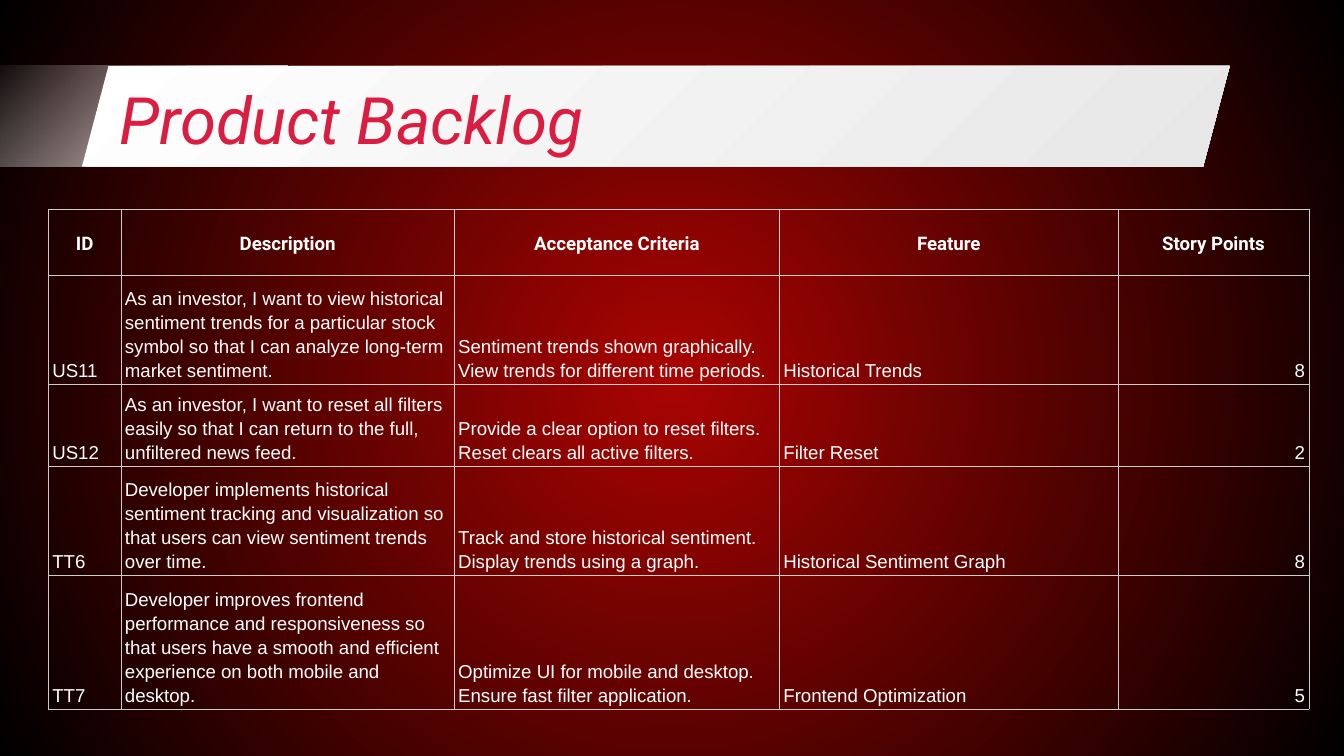
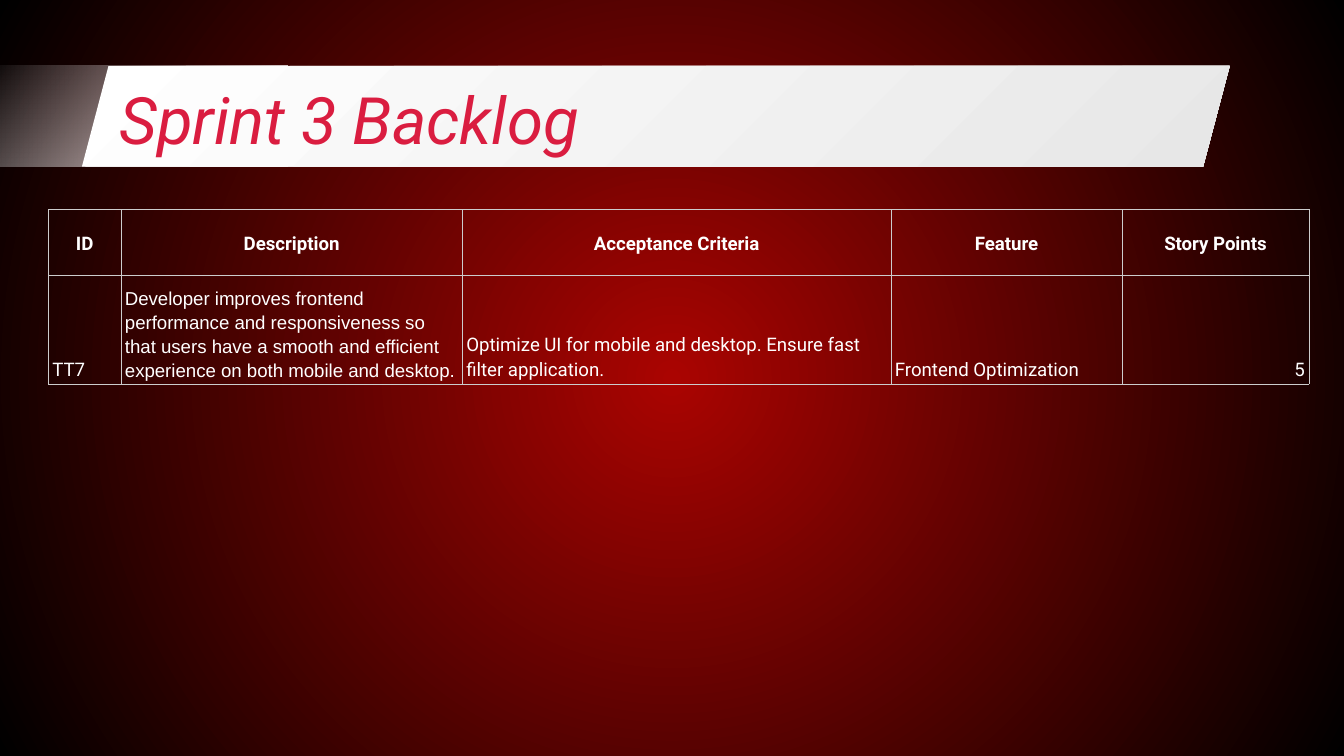
import pptx
import pptx.dml.color
import pptx.enum.shapes
import pptx.enum.text
import pptx.oxml
import pptx.oxml.ns
import pptx.util
from lxml import etree

Inches = pptx.util.Inches
Pt = pptx.util.Pt
qn = pptx.oxml.ns.qn
ALIGN = pptx.enum.text.PP_ALIGN
ANCHOR = pptx.enum.text.MSO_ANCHOR
SHAPE = pptx.enum.shapes.MSO_SHAPE

GLOW, BLACK, WHITE, SILVER = "AA0401", "000000", "FFFFFF", "E7E7E7"
CRIMSON, RULE = "DA1D40", "CCCCCC"
HEADERS = ["ID", "Description", "Acceptance Criteria", "Feature", "Story Points"]
HEADER_HEIGHT, ROW_HEIGHT = 0.49, 0.59
FRAME_SIDE = 3.28


def rgb(value):
    return pptx.dml.color.RGBColor.from_string(value)


class Deck:
    """Holds the shared style and the slide being built."""

    head_font, body_font = "Roboto", "Arial"

    def __init__(self):
        self.prs = pptx.Presentation()
        self.prs.slide_width = Inches(10)
        self.prs.slide_height = Inches(10) * 9 // 16
        self.s = None

    def slide(self, title):
        self.s = self.prs.slides.add_slide(self.prs.slide_layouts[6])
        self.background()
        self.banner()
        self.title(title)

    def gradient(self, fill, start, end):
        """Fill from top left to bottom right."""
        fill.gradient()
        fill.gradient_angle = 315
        for stop, value in zip(fill.gradient_stops, (start, end)):
            stop.color.rgb = rgb(value)

    def background(self):
        self.gradient(self.s.background.fill, GLOW, BLACK)
        grad = self.s.element.find(".//" + qn("a:gradFill"))
        radial = etree.Element(qn("a:path"), path="circle")
        etree.SubElement(radial, qn("a:fillToRect"),
                         dict.fromkeys("ltrb", "50000"))
        grad.replace(grad.find(qn("a:lin")), radial)

    def banner(self):
        group = self.s.shapes.add_group_shape()
        fade = self.band(group, SHAPE.RECTANGLE, -0.15, 2.29, WHITE)
        first = fade.element.find(".//" + qn("a:srgbClr"))
        etree.SubElement(first, qn("a:alpha"), val="0")
        plate = self.band(group, SHAPE.PARALLELOGRAM, 0.61, 8.54, SILVER)
        plate.adjustments[0] = 0.264

    def band(self, group, kind, left, width, end):
        sp = group.shapes.add_shape(kind, Inches(left), Inches(0.49),
                                    Inches(width), Inches(0.75))
        sp.shadow.inherit = False
        sp.line.fill.background()
        self.gradient(sp.fill, WHITE, end)
        return sp

    def run(self, p, text, size, font, color, bold=False, italic=False):
        r = p.add_run()
        r.text = text
        r.font.size = Pt(size)
        r.font.name = font
        r.font.color.rgb = rgb(color)
        r.font.bold = bold
        r.font.italic = italic

    def title(self, text):
        sp = self.s.shapes.add_textbox(Inches(0.79), Inches(0.49),
                                       Inches(8.43), Inches(0.63))
        tf = sp.text_frame
        tf.word_wrap = True
        tf.margin_left = tf.margin_right = Inches(0.1)
        tf.margin_top = tf.margin_bottom = Inches(0.1)
        tf.vertical_anchor = ANCHOR.TOP
        self.run(tf.paragraphs[0], text, 35, self.head_font, CRIMSON, italic=True)

    def backlog(self, widths, heights, rows, fonts):
        """Draw the header row and the items; fonts has one name per column."""
        heights = [HEADER_HEIGHT] + heights
        side = Inches(FRAME_SIDE)
        frame = self.s.shapes.add_table(len(heights), len(widths), Inches(0.36),
                                        Inches(1.56), side, side)
        table = frame.table
        table.first_row = table.horz_banding = False
        for column, width in zip(table.columns, widths):
            column.width = Inches(width)
        for row, height in zip(table.rows, heights):
            row.height = Inches(height)
        frame.width = frame.height = side
        for i, texts in enumerate([HEADERS] + rows):
            for j, text in enumerate(texts):
                self.cell(table.cell(i, j), text, fonts[j], i == 0,
                          j == len(widths) - 1)

    def cell(self, cell, text, font, header, numeric):
        cell.margin_left = cell.margin_right = Inches(0.03)
        cell.margin_top = cell.margin_bottom = Inches(0.02)
        cell.vertical_anchor = ANCHOR.MIDDLE if header else ANCHOR.BOTTOM
        self.borders(cell)
        cell.fill.background()
        p = cell.text_frame.paragraphs[0]
        p.line_spacing = 1.15
        p.alignment = (ALIGN.CENTER if header else
                       ALIGN.RIGHT if numeric else ALIGN.LEFT)
        self.run(p, text, 10, self.head_font if header else font, WHITE, bold=header)

    def borders(self, cell):
        props = cell._tc.get_or_add_tcPr()
        for side in ("lnL", "lnR", "lnT", "lnB"):
            line = etree.SubElement(props, qn("a:" + side), w=str(Pt(0.42)))
            fill = etree.SubElement(line, qn("a:solidFill"))
            etree.SubElement(fill, qn("a:srgbClr"), val=RULE)


def main():
    frontend = [
        "TT7",
        "Developer improves frontend performance and responsiveness so that "
        "users have a smooth and efficient experience on both mobile and desktop.",
        "Optimize UI for mobile and desktop. Ensure fast filter application.",
        "Frontend Optimization", "5"]
    product_items = [
        ["US11",
         "As an investor, I want to view historical sentiment trends for a "
         "particular stock symbol so that I can analyze long-term market sentiment.",
         "Sentiment trends shown graphically. View trends for different time periods.",
         "Historical Trends", "8"],
        ["US12",
         "As an investor, I want to reset all filters easily so that I can "
         "return to the full, unfiltered news feed.",
         "Provide a clear option to reset filters. Reset clears all active filters.",
         "Filter Reset", "2"],
        ["TT6",
         "Developer implements historical sentiment tracking and visualization "
         "so that users can view sentiment trends over time.",
         "Track and store historical sentiment. Display trends using a graph.",
         "Historical Sentiment Graph", "8"],
        frontend]

    deck = Deck()
    head, body = deck.head_font, deck.body_font

    deck.slide("Product Backlog")
    deck.backlog([0.54, 2.48, 2.42, 2.52, 1.42],
                 [ROW_HEIGHT, ROW_HEIGHT, 0.77, ROW_HEIGHT],
                 product_items, [body] * 5)

    deck.slide("Sprint 3 Backlog")
    deck.backlog([0.54, 2.54, 3.19, 1.72, 1.39], [ROW_HEIGHT],
                 [frontend], [head, body, head, head, head])

    deck.prs.save("out.pptx")


if __name__ == "__main__":
    main()
